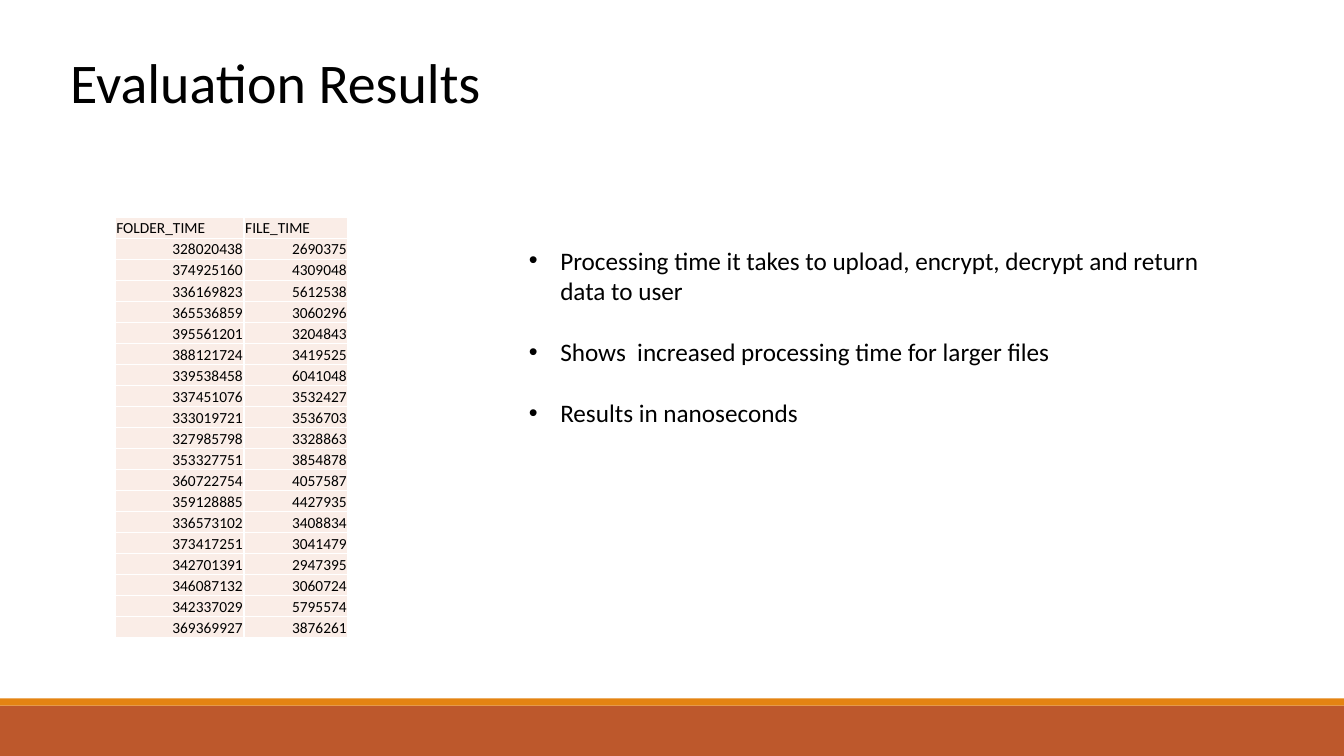
"""Build the evaluation results slide."""
from dataclasses import dataclass

from lxml.etree import SubElement
from pptx import Presentation
from pptx.dml.color import RGBColor
from pptx.enum.shapes import MSO_SHAPE
from pptx.enum.text import MSO_ANCHOR, PP_ALIGN
from pptx.oxml.ns import qn
from pptx.util import Cm, Pt


@dataclass(frozen=True)
class Theme:
    """Colours and type of the slide."""
    font: str = "Calibri"
    ink: str = "000000"
    rust: str = "BD582C"
    orange: str = "E48312"
    blush: str = "FAEDE7"
    border: str = "FFFFFF"
    title_size: int = 40
    bullet_size: int = 18
    table_size: int = 11


THEME = Theme()
HEADINGS = ("FOLDER_TIME", "FILE_TIME")
TIMES = (
    (328020438, 2690375), (374925160, 4309048), (336169823, 5612538),
    (365536859, 3060296), (395561201, 3204843), (388121724, 3419525),
    (339538458, 6041048), (337451076, 3532427), (333019721, 3536703),
    (327985798, 3328863), (353327751, 3854878), (360722754, 4057587),
    (359128885, 4427935), (336573102, 3408834), (373417251, 3041479),
    (342701391, 2947395), (346087132, 3060724), (342337029, 5795574),
    (369369927, 3876261),
)
POINTS = (
    "Processing time it takes to upload, encrypt, decrypt and return data to user",
    "Shows  increased processing time for larger files",
    "Results in nanoseconds",
)


def apply_format(target, values):
    """Set every named attribute on the target."""
    for name, value in values.items():
        setattr(target, name, value)


def paint(fill, colour):
    """Make a fill solid in one colour."""
    fill.solid()
    fill.fore_color.rgb = RGBColor.from_string(colour)


def write(para, text, size):
    """Add text in the theme font to a paragraph."""
    span = para.add_run()
    span.text = text
    apply_format(span.font, {"name": THEME.font, "size": Pt(size)})
    span.font.color.rgb = RGBColor.from_string(THEME.ink)


def add_band(page, top, height, width, colour):
    """Add a footer band across the page."""
    band = page.shapes.add_shape(MSO_SHAPE.RECTANGLE, 0, Cm(top), width, Cm(height))
    band.shadow.inherit = False
    paint(band.fill, colour)
    band.line.fill.background()


def add_text(page, left, top, width, height, wrap):
    """Add an empty text box and return its frame."""
    box = page.shapes.add_textbox(Cm(left), Cm(top), Cm(width), Cm(height))
    box.text_frame.word_wrap = wrap
    return box.text_frame


def add_bullets(frame, points):
    """Fill a frame with bullets one blank line apart."""
    for index, point in enumerate(points):
        para = frame.add_paragraph() if index else frame.paragraphs[0]
        para.space_before = Pt(22 if index else 0)
        properties = para._p.get_or_add_pPr()
        properties.set("marL", str(Cm(0.79)))
        properties.set("indent", str(Cm(-0.79)))
        SubElement(properties, qn("a:buFont"), typeface="Arial")
        SubElement(properties, qn("a:buChar"), char="•")
        write(para, point, THEME.bullet_size)


def style_cell(cell):
    """Give a cell thin white borders, tight margins and a tint."""
    properties = cell._tc.get_or_add_tcPr()
    for side in ("lnL", "lnR", "lnT", "lnB"):
        edge = SubElement(properties, qn(f"a:{side}"), w=str(Pt(1)))
        solid = SubElement(edge, qn("a:solidFill"))
        SubElement(solid, qn("a:srgbClr"), val=THEME.border)
    paint(cell.fill, THEME.blush)
    apply_format(cell, {
        "margin_left": Cm(0.03), "margin_right": Cm(0.03),
        "margin_top": Cm(0.03), "margin_bottom": 0,
        "vertical_anchor": MSO_ANCHOR.BOTTOM,
    })


def add_times_table(page, left, top, widths, row_height):
    """Add the table of measured times."""
    rows = (HEADINGS, *TIMES)
    table = page.shapes.add_table(
        len(rows), len(widths), Cm(left), Cm(top),
        Cm(sum(widths)), Cm(row_height * len(rows))).table
    apply_format(table, {"first_row": False, "horz_banding": False})
    for column, width in zip(table.columns, widths):
        column.width = Cm(width)
    for row, values in zip(table.rows, rows):
        row.height = Cm(row_height)
        for cell, value in zip(row.cells, values):
            style_cell(cell)
            para = cell.text_frame.paragraphs[0]
            para.alignment = PP_ALIGN.LEFT if values is HEADINGS else PP_ALIGN.RIGHT
            write(para, str(value), THEME.table_size)


def main():
    """Build and save the deck."""
    deck = Presentation()
    apply_format(deck, {"slide_width": Cm(33.87), "slide_height": Cm(19.05)})
    page = deck.slides.add_slide(deck.slide_layouts[6])
    add_band(page, 17.78, 1.27, deck.slide_width, THEME.rust)
    add_band(page, 17.6, 0.18, deck.slide_width, THEME.orange)
    add_times_table(page, 2.9, 5.47, (3.25, 2.62), 0.53)
    title = add_text(page, 1.52, 1.07, 10.97, 1.96, False)
    write(title.paragraphs[0], "Evaluation Results", THEME.title_size)
    add_bullets(add_text(page, 13.08, 6.05, 17.78, 4.88, True), POINTS)
    deck.save("out.pptx")


main()
